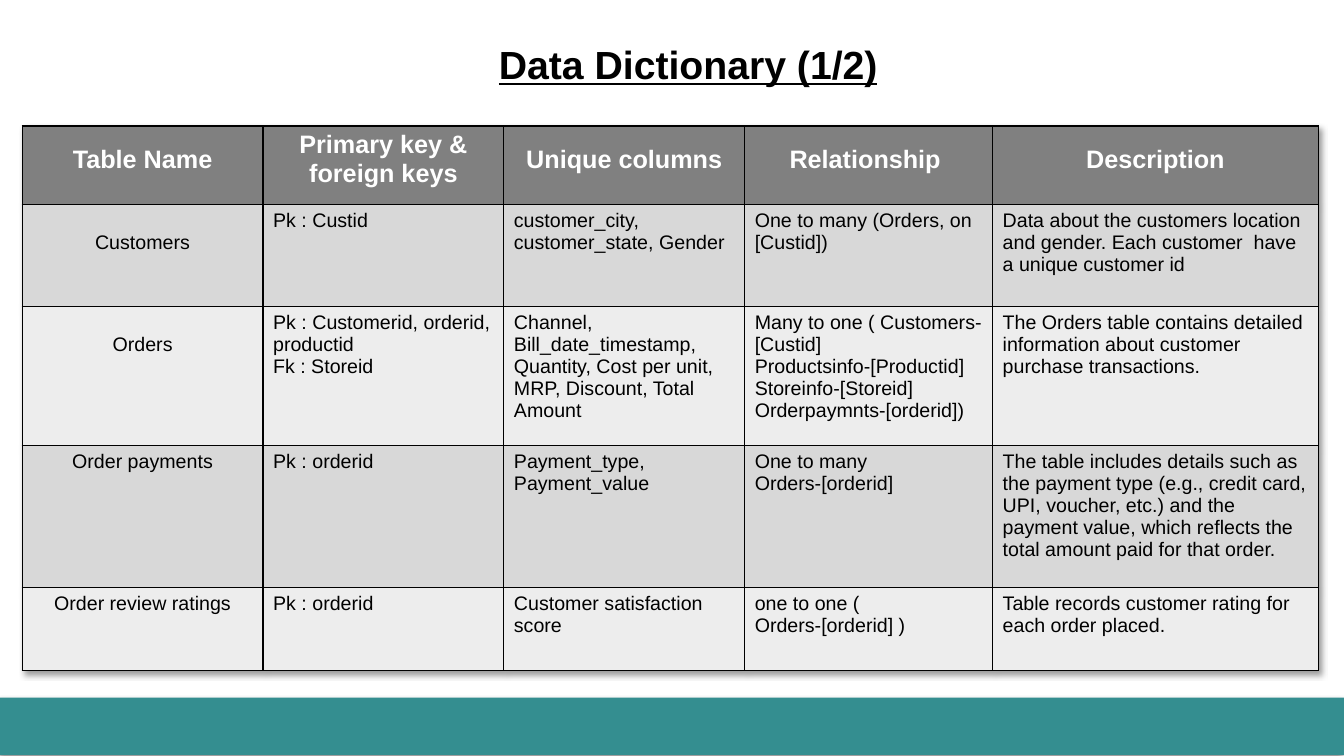
from dataclasses import dataclass

import pptx
import pptx.dml.color
import pptx.enum.shapes
import pptx.enum.text
import pptx.oxml
import pptx.oxml.ns
import pptx.util
from lxml import etree

SLIDE_W = pptx.util.Inches(13.33)
SLIDE_H = pptx.util.Inches(7.5)
CENTER = pptx.enum.text.PP_ALIGN.CENTER
LEFT = pptx.enum.text.PP_ALIGN.LEFT


@dataclass(frozen=True)
class Theme:
    font: str = "Arial"
    text: str = "000000"
    header_text: str = "FFFFFF"
    header_fill: str = "808080"
    bands: tuple[str, str] = ("D8D8D8", "EDEDED")
    bar: str = "348E90"
    border: str = "000000"
    title_size: int = 28
    header_size: int = 18
    body_size: int = 14


@dataclass(frozen=True)
class Box:
    """A place on the slide, in percent of its width and height."""
    left: float
    top: float
    width: float
    height: float

    def emu(self) -> tuple[int, int, int, int]:
        return across(self.left), down(self.top), across(self.width), down(self.height)


@dataclass(frozen=True)
class Header:
    text: str
    width: float
    spacing: float = 1.5


@dataclass(frozen=True)
class Entry:
    """One described table; a line break in a field starts a new paragraph."""
    name: str
    keys: str
    columns: str
    relationship: str
    description: str
    height: float
    name_spacing: float = 1.0


THEME = Theme()
HEADER_HEIGHT = 10.4
TABLE_LEFT, TABLE_TOP = 1.65, 16.67
TITLE_BOX = Box(36.38, 4.67, 30.08, 7.6)
BAR_BOX = Box(0, 92.27, 100, 7.6)

HEADERS = [
    Header("Table Name", 17.92),
    Header("Primary key & foreign keys", 17.92, 1.0),
    Header("Unique columns", 17.92),
    Header("Relationship ", 18.45),
    Header("Description", 24.23),
]

ENTRIES = [
    Entry("Customers", "Pk : Custid",
          "customer_city, customer_state, Gender",
          "One to many (Orders, on [Custid])",
          "Data about the customers location and gender. "
          "Each customer  have a unique customer id", 13.47, 2.0),
    Entry("Orders", "Pk : Customerid, orderid, productid\nFk : Storeid",
          "Channel, Bill_date_timestamp,\n"
          "Quantity, Cost per unit, MRP, Discount, Total Amount",
          "Many to one ( Customers- [Custid]\nProductsinfo-[Productid]\n"
          "Storeinfo-[Storeid]\nOrderpaymnts-[orderid])",
          "The Orders table contains detailed information about "
          "customer purchase transactions.", 18.4, 2.0),
    Entry("Order payments", "Pk : orderid", "Payment_type, Payment_value",
          "One to many\nOrders-[orderid]",
          "The table includes details such as the payment type "
          "(e.g., credit card, UPI, voucher, etc.) and the payment value, "
          "which reflects the total amount paid for that order.", 18.8),
    Entry("Order review ratings", "Pk : orderid", "Customer satisfaction score",
          "one to one (\nOrders-[orderid] )",
          "Table records customer rating for each order placed.", 10.93),
]


def across(percent: float) -> int:
    return round(SLIDE_W * percent / 100)


def down(percent: float) -> int:
    return round(SLIDE_H * percent / 100)


def rgb(color: str) -> pptx.dml.color.RGBColor:
    return pptx.dml.color.RGBColor.from_string(color)


def write(tf, text: str, size: int, color: str, bold: bool = False,
          align=LEFT, spacing: float = 1.0) -> None:
    for i, line in enumerate(text.split("\n")):
        p = tf.add_paragraph() if i else tf.paragraphs[0]
        p.add_run().text = line
        p.alignment = align
        p.line_spacing = spacing
        p.font.name = THEME.font
        p.font.size = pptx.util.Pt(size)
        p.font.bold = bold
        p.font.color.rgb = rgb(color)


def add_shadow(props, degrees: int) -> None:
    """Put a soft 40 % black shadow into shape or table properties."""
    effects = pptx.oxml.parse_xml(
        f'<a:effectLst {pptx.oxml.ns.nsdecls("a")}>'
        f'<a:outerShdw blurRad="{pptx.util.Pt(4)}" dist="{pptx.util.Pt(3)}" '
        f'dir="{degrees * 60000}" algn="tl" rotWithShape="0">'
        '<a:srgbClr val="000000"><a:alpha val="40000"/></a:srgbClr>'
        '</a:outerShdw></a:effectLst>')
    style = props.find(pptx.oxml.ns.qn("a:tableStyleId"))
    if style is None:
        props.append(effects)
    else:
        style.addprevious(effects)


def style_cell(cell, fill: str) -> None:
    cell.fill.solid()
    cell.fill.fore_color.rgb = rgb(fill)
    props = cell._tc.get_or_add_tcPr()
    for i, side in enumerate(("lnL", "lnR", "lnT", "lnB")):
        ln = etree.Element(pptx.oxml.ns.qn(f"a:{side}"), w=str(pptx.util.Pt(1)))
        solid = etree.SubElement(ln, pptx.oxml.ns.qn("a:solidFill"))
        etree.SubElement(solid, pptx.oxml.ns.qn("a:srgbClr"), val=THEME.border)
        props.insert(i, ln)


def add_bar(slide) -> None:
    sp = slide.shapes.add_shape(pptx.enum.shapes.MSO_SHAPE.RECTANGLE, *BAR_BOX.emu())
    sp.fill.solid()
    sp.fill.fore_color.rgb = rgb(THEME.bar)
    sp.line.fill.background()
    add_shadow(sp._element.spPr, 135)


def add_dictionary(slide) -> None:
    heights = [HEADER_HEIGHT] + [e.height for e in ENTRIES]
    box = Box(TABLE_LEFT, TABLE_TOP, sum(h.width for h in HEADERS), sum(heights))
    table = slide.shapes.add_table(len(heights), len(HEADERS), *box.emu()).table
    table.horz_banding = False
    add_shadow(table._tbl.tblPr, 45)
    for row, height in zip(table.rows, heights):
        row.height = down(height)

    for c, header in enumerate(HEADERS):
        table.columns[c].width = across(header.width)
        cell = table.cell(0, c)
        style_cell(cell, THEME.header_fill)
        write(cell.text_frame, header.text, THEME.header_size, THEME.header_text,
              True, CENTER, header.spacing)

    for r, e in enumerate(ENTRIES):
        fields = (e.name, e.keys, e.columns, e.relationship, e.description)
        for c, text in enumerate(fields):
            cell = table.cell(r + 1, c)
            style_cell(cell, THEME.bands[r % 2])
            align, spacing = (LEFT, 1.0) if c else (CENTER, e.name_spacing)
            write(cell.text_frame, text, THEME.body_size, THEME.text,
                  align=align, spacing=spacing)


def add_title(slide) -> None:
    tf = slide.shapes.add_textbox(*TITLE_BOX.emu()).text_frame
    tf.word_wrap = False
    tf.auto_size = pptx.enum.text.MSO_AUTO_SIZE.SHAPE_TO_FIT_TEXT
    write(tf, "Data Dictionary (1/2)", THEME.title_size, THEME.text, True)
    tf.paragraphs[0].font.underline = True


def main() -> None:
    prs = pptx.Presentation()
    prs.slide_width, prs.slide_height = SLIDE_W, SLIDE_H
    slide = prs.slides.add_slide(prs.slide_layouts[6])
    add_bar(slide)
    add_dictionary(slide)
    add_title(slide)
    prs.save("out.pptx")


if __name__ == "__main__":
    main()
